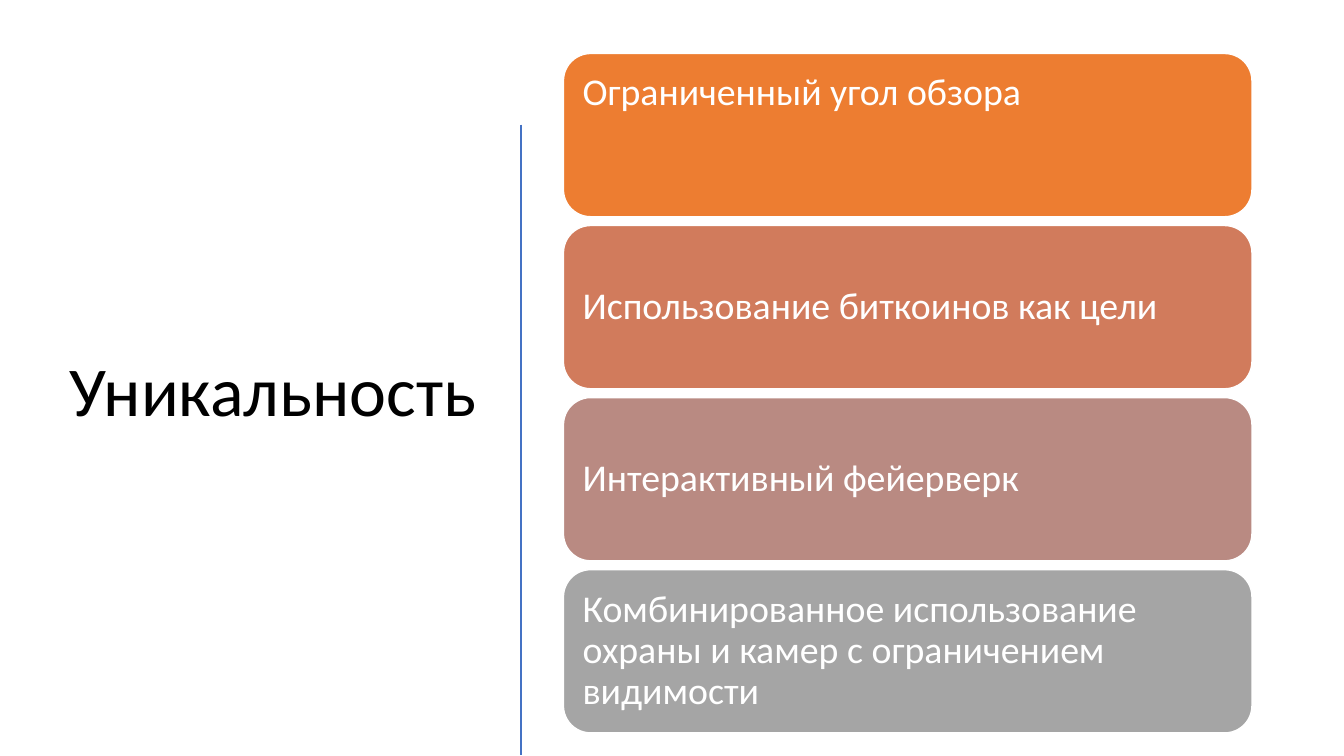
"""Build the slide «Уникальность»: a title, a divider and four cards."""
from lxml import etree
from pptx import Presentation
from pptx.dml.color import RGBColor
from pptx.enum import shapes, text
from pptx.oxml.ns import qn
from pptx.util import Pt


def rgb(value):
    return RGBColor.from_string(value)


def style(p, size, color, align):
    p.font.name = "Calibri"
    p.font.size = Pt(size)
    p.font.color.rgb = rgb(color)
    p.alignment = align
    p.line_spacing = 0.9


CARDS = [
    ("Ограниченный угол обзора", "ED7D31", text.MSO_ANCHOR.TOP),
    ("Использование биткоинов как цели", "D17B5C", text.MSO_ANCHOR.MIDDLE),
    ("Интерактивный фейерверк", "B98A82", text.MSO_ANCHOR.MIDDLE),
    ("Комбинированное использование охраны и камер с ограничением видимости",
     "A5A5A5", text.MSO_ANCHOR.MIDDLE),
]
CARD_LEFT, CARD_TOP, CARD_WIDTH, CARD_HEIGHT = 402.5, 38.2, 491.8, 116.6
CARD_PITCH = 122.9

prs = Presentation()
prs.slide_width, prs.slide_height = Pt(960), Pt(540)
s = prs.slides.add_slide(prs.slide_layouts[5])

title = s.shapes.title
title.left, title.top, title.width, title.height = Pt(37.4), Pt(28.8), Pt(310.3), Pt(450)
tf = title.text_frame
tf.text = "Уникальность"
tf.word_wrap = True
tf.auto_size = text.MSO_AUTO_SIZE.NONE
tf.vertical_anchor = text.MSO_ANCHOR.MIDDLE
tf.margin_left = tf.margin_right = Pt(7.2)
tf.margin_top, tf.margin_bottom = Pt(58.6), Pt(3.6)
style(tf.paragraphs[0], 50, "000000", text.PP_ALIGN.RIGHT)

divider = s.shapes.add_connector(
    shapes.MSO_CONNECTOR.STRAIGHT, Pt(372.2), Pt(89), Pt(372.2), Pt(539.5))
divider.line.color.rgb = rgb("4472C4")
divider.line.width = Pt(2)
etree.SubElement(divider._element.spPr, qn("a:effectLst"))

for i, (label, fill, anchor) in enumerate(CARDS):
    sp = s.shapes.add_shape(
        shapes.MSO_SHAPE.ROUNDED_RECTANGLE, Pt(CARD_LEFT),
        Pt(CARD_TOP + i * CARD_PITCH), Pt(CARD_WIDTH), Pt(CARD_HEIGHT))
    sp.shadow.inherit = False
    sp.fill.solid()
    sp.fill.fore_color.rgb = rgb(fill)
    sp.line.color.rgb = rgb("FFFFFF")
    sp.line.width = Pt(1)
    tf = sp.text_frame
    tf.text = label
    tf.word_wrap = True
    tf.vertical_anchor = anchor
    tf.margin_left = tf.margin_right = tf.margin_top = tf.margin_bottom = Pt(8)
    style(tf.paragraphs[0], 27, "FFFFFF", text.PP_ALIGN.LEFT)

prs.save("out.pptx")
